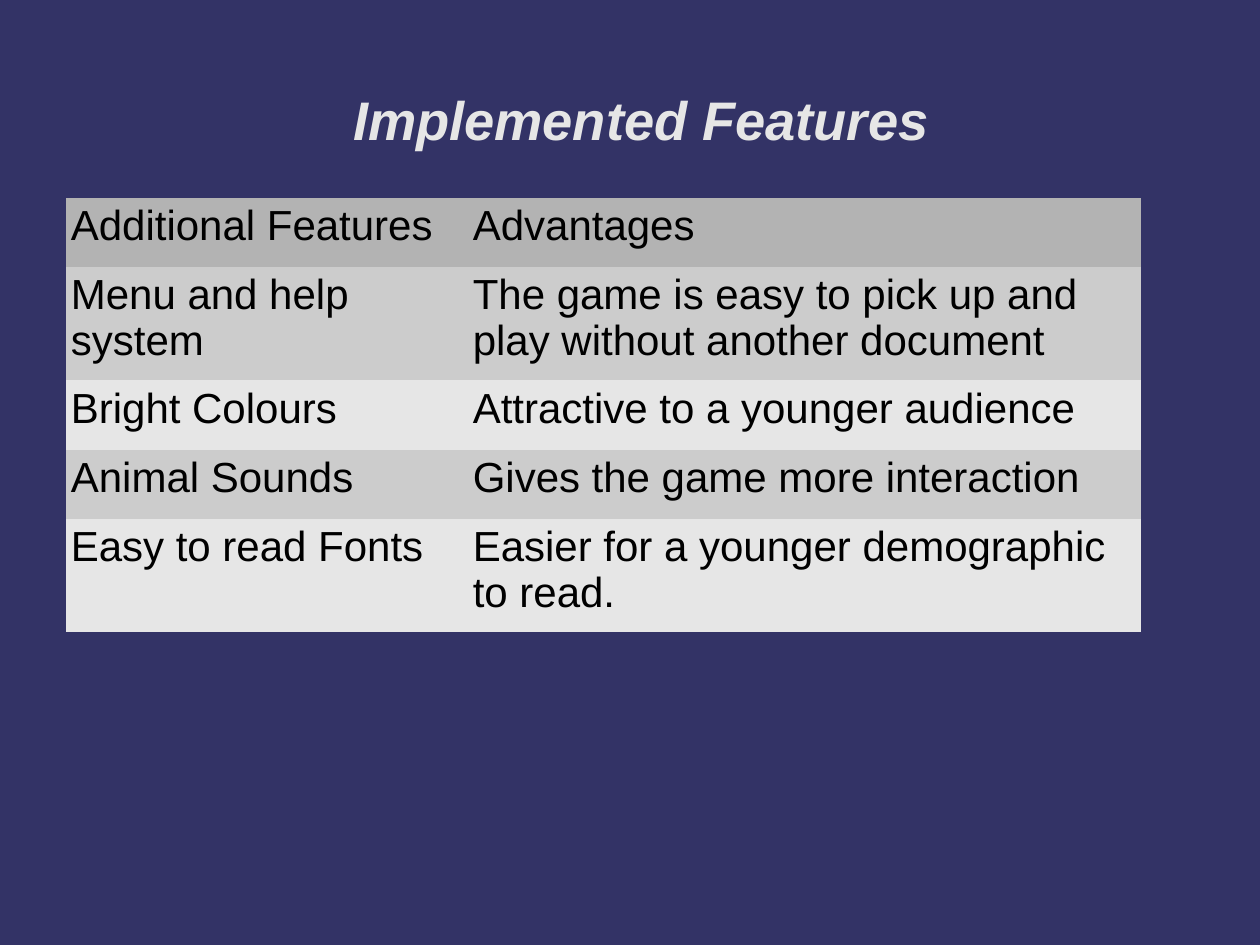
from pptx import Presentation
from pptx.dml.color import RGBColor
from pptx.enum.text import MSO_ANCHOR, PP_ALIGN
from pptx.util import Pt

FEATURES = [
    ("Additional Features", "Advantages"),
    ("Menu and help system",
     "The game is easy to pick up and play without another document"),
    ("Bright Colours", "Attractive to a younger audience"),
    ("Animal Sounds", "Gives the game more interaction"),
    ("Easy to read Fonts", "Easier for a younger demographic to read."),
]
COLUMN_WIDTHS = (229.7, 384.5)
ROW_HEIGHTS = (39.6, 64.8, 39.6, 39.6, 64.8)
HEADER_FILL = "B3B3B3"
BAND_FILLS = ("E6E6E6", "CCCCCC")


def paint(fill, color):
    fill.solid()
    fill.fore_color.rgb = RGBColor.from_string(color)


def style_text(para, size, color, bold=False, italic=False):
    for span in para.runs:
        font = span.font
        font.name, font.size = "Arial", Pt(size)
        font.bold, font.italic = bold, italic
        paint(font.fill, color)


def place_title(slide, left, top, width, height):
    title = slide.shapes.title
    title.left, title.top = Pt(left), Pt(top)
    title.width, title.height = Pt(width), Pt(height)
    frame = title.text_frame
    frame.text = "Implemented Features "
    frame.word_wrap = True
    frame.vertical_anchor = MSO_ANCHOR.MIDDLE
    para = frame.paragraphs[0]
    para.alignment = PP_ALIGN.CENTER
    properties = para._p.get_or_add_pPr()
    properties.set("marL", str(Pt(28)))
    properties.set("indent", "0")
    style_text(para, 31, "E6E6E6", bold=True, italic=True)


def fill_cell(cell, text, color):
    paint(cell.fill, color)
    cell.margin_left = cell.margin_right = Pt(2.9)
    cell.margin_top = cell.margin_bottom = Pt(3.6)
    cell.text_frame.text = text
    para = cell.text_frame.paragraphs[0]
    para.line_spacing = 0.97
    style_text(para, 24, "000000")


def place_feature_table(slide, left, top):
    table = slide.shapes.add_table(
        len(FEATURES), len(COLUMN_WIDTHS), Pt(left), Pt(top),
        Pt(sum(COLUMN_WIDTHS)), Pt(sum(ROW_HEIGHTS))).table
    # The plain "No Style, No Grid" style keeps cell borders away.
    table._tbl.tblPr.find("{*}tableStyleId").text = (
        "{2D5ABB26-0587-4C30-8999-92F81FD0307C}")
    for column, width in zip(table.columns, COLUMN_WIDTHS):
        column.width = Pt(width)
    for index, texts in enumerate(FEATURES):
        table.rows[index].height = Pt(ROW_HEIGHTS[index])
        color = BAND_FILLS[index % 2] if index else HEADER_FILL
        for cell, text in zip(table.rows[index].cells, texts):
            fill_cell(cell, text, color)


def main():
    deck = Presentation()
    deck.slide_width, deck.slide_height = Pt(720), Pt(540)
    slide = deck.slides.add_slide(deck.slide_layouts[5])
    paint(slide.background.fill, "333366")
    place_title(slide, 32.4, 23, 648, 90)
    place_feature_table(slide, 37.6, 113)
    deck.save("out.pptx")


if __name__ == "__main__":
    main()
